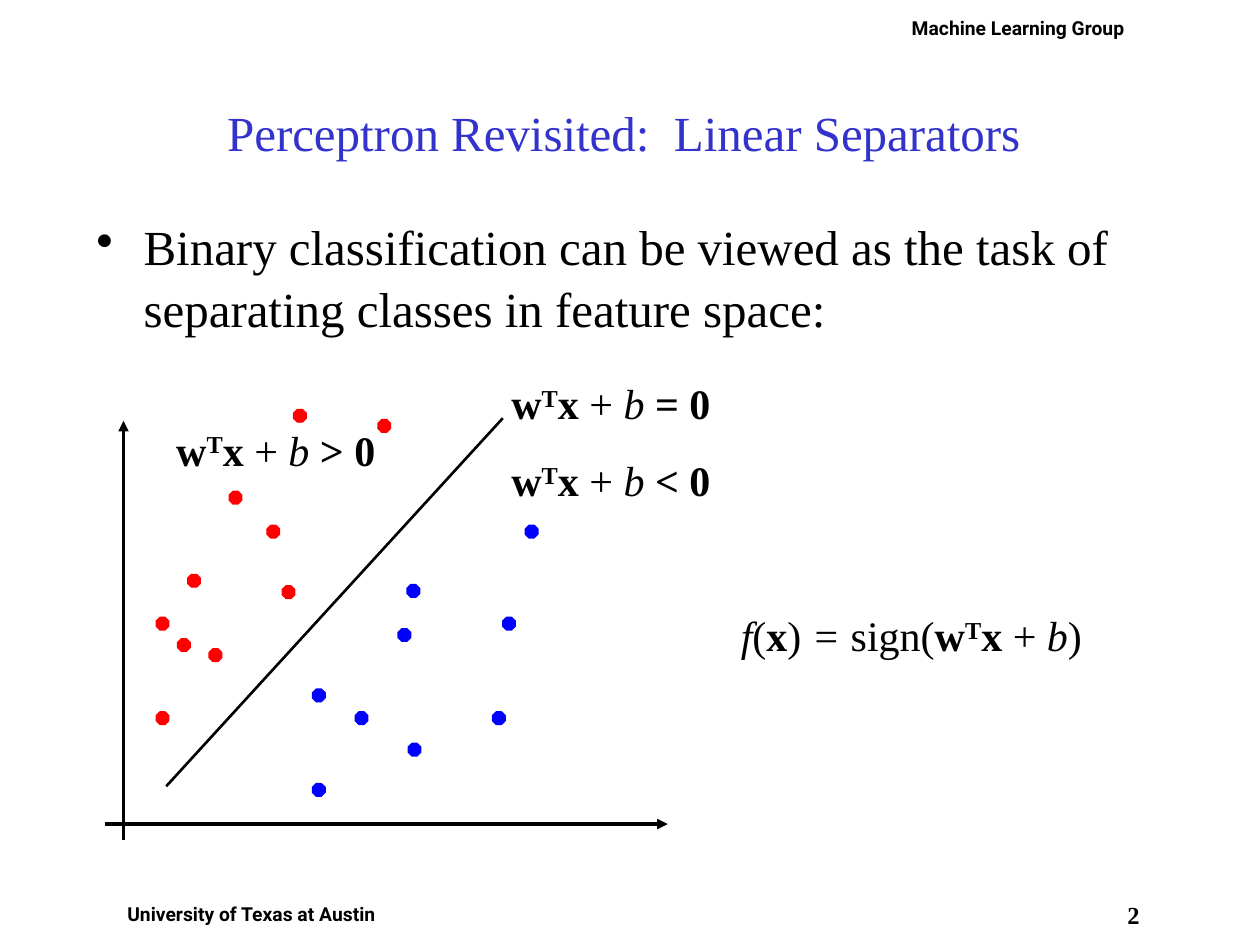
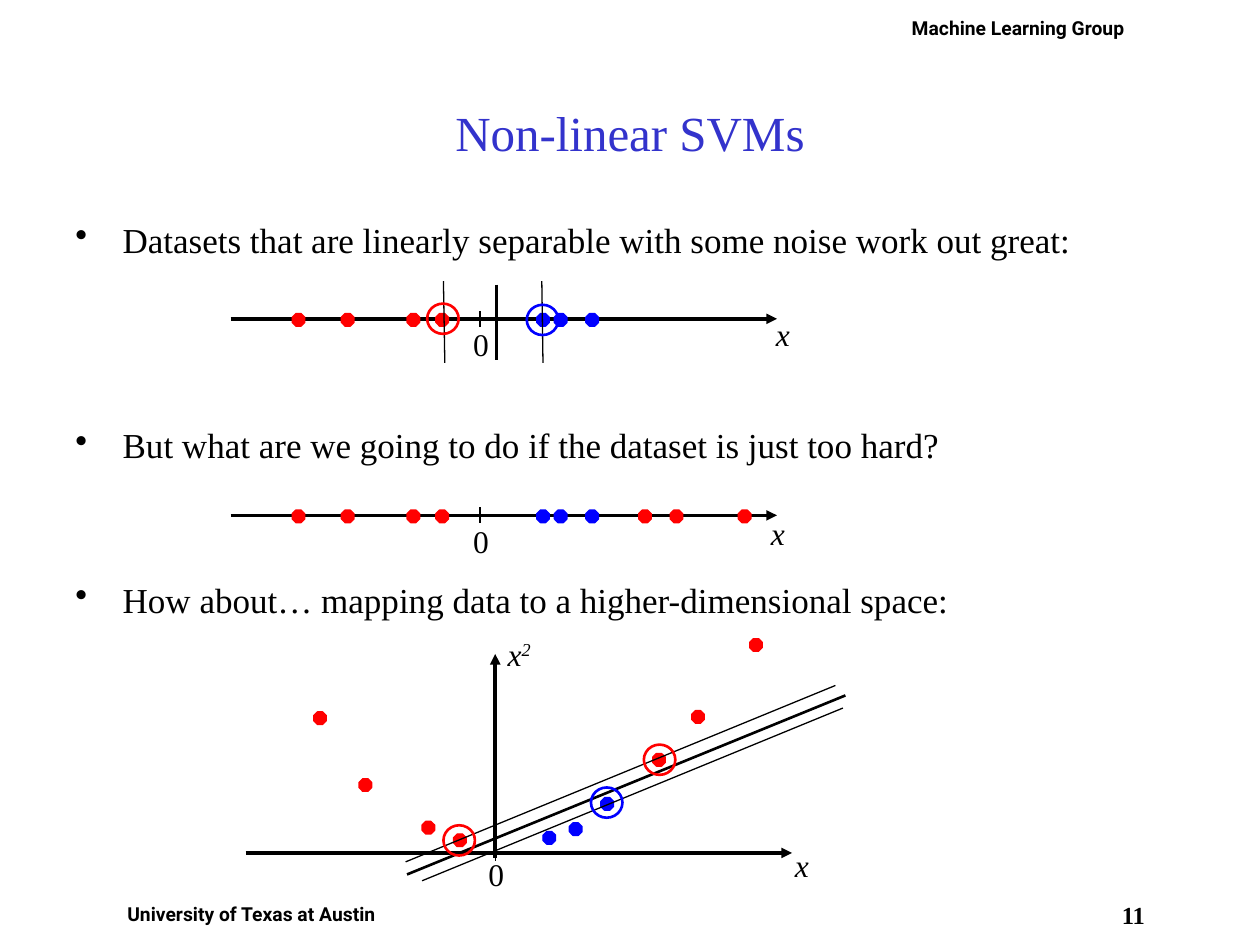
from dataclasses import dataclass
from typing import Any, NamedTuple

from lxml import etree
from pptx import Presentation
from pptx.dml.color import RGBColor
from pptx.enum import shapes, text
from pptx.oxml import ns
from pptx.util import Pt


@dataclass(frozen=True)
class Theme:
    black: RGBColor = RGBColor(0x00, 0x00, 0x00)
    white: RGBColor = RGBColor(0xFF, 0xFF, 0xFF)
    title: RGBColor = RGBColor(0x33, 0x33, 0xCC)
    red: RGBColor = RGBColor(0xFF, 0x00, 0x00)
    blue: RGBColor = RGBColor(0x00, 0x00, 0xFF)
    serif: str = "Times New Roman"
    sans: str = "Roboto"
    title_size: float = 28
    formula_size: float = 24
    axis_size: float = 18
    number_size: float = 14
    band_size: float = 11
    thin: float = 0.75
    medium: float = 1.5
    thick: float = 2


THEME = Theme()
DOT_SIZE = 7.2
PADDING = (7.2, 3.6)


class Box(NamedTuple):
    left: float
    top: float
    width: float
    height: float


class Run(NamedTuple):
    text: str
    bold: bool = False
    italic: bool = False
    superscript: bool = False


class Line(NamedTuple):
    start: tuple[float, float]
    end: tuple[float, float]
    width: float = THEME.thin
    arrow: bool = False


class Mark(NamedTuple):
    """A dot or ring, placed by its top left corner."""
    left: float
    top: float
    color: RGBColor


class Label(NamedTuple):
    box: Box
    runs: list[Run]
    size: float


class Bullet(NamedTuple):
    text: str
    space_before: float


def apply_format(target: Any, values: dict[str, Any]) -> None:
    for name, value in values.items():
        setattr(target, name, value)


def add_runs(paragraph: Any, runs: list[Run], size: float,
             color: RGBColor = THEME.black, font: str = THEME.serif) -> None:
    for item in runs:
        run = paragraph.add_run()
        run.text = item.text
        apply_format(run.font, {"name": font, "size": Pt(size),
                                "bold": item.bold, "italic": item.italic})
        run.font.color.rgb = color
        if item.superscript:
            run.font._element.set("baseline", "30000")


def add_frame(slide: Any, box: Box, padding: tuple[float, float] = PADDING,
              anchor: Any = text.MSO_ANCHOR.TOP, fill: RGBColor | None = None) -> Any:
    """Add a text box and return its text frame."""
    shape = slide.shapes.add_textbox(*map(Pt, box))
    if fill is not None:
        shape.fill.solid()
        shape.fill.fore_color.rgb = fill
    across, down = map(Pt, padding)
    apply_format(shape.text_frame, {
        "word_wrap": True, "vertical_anchor": anchor,
        "margin_left": across, "margin_right": across,
        "margin_top": down, "margin_bottom": down,
    })
    return shape.text_frame


def add_label(slide: Any, label: Label) -> None:
    frame = add_frame(slide, label.box)
    add_runs(frame.paragraphs[0], label.runs, label.size)


def add_band(slide: Any, box: Box, caption: str, size: float, font: str,
             padding: float) -> None:
    frame = add_frame(slide, box, (padding, padding), fill=THEME.white)
    paragraph = frame.paragraphs[0]
    paragraph.alignment = text.PP_ALIGN.CENTER
    add_runs(paragraph, [Run(caption, bold=True)], size, font=font)


def add_page(presentation: Any, title: str, number: int) -> Any:
    """Add a slide with the shared number, footer, header and title."""
    slide = presentation.slides.add_slide(presentation.slide_layouts[6])
    add_band(slide, Box(635.8, 514.1, 23.8, 25.9), str(number),
             THEME.number_size, THEME.serif, 0)
    for box, caption in (
        (Box(59.8, 511.9, 167.8, 20.9), "University of Texas at Austin"),
        (Box(509.8, 5.8, 144, 20.9), "Machine Learning Group"),
    ):
        add_band(slide, box, caption, THEME.band_size, THEME.sans, 3.6)
    frame = add_frame(slide, Box(54, 30.2, 612, 90), anchor=text.MSO_ANCHOR.MIDDLE)
    paragraph = frame.paragraphs[0]
    paragraph.alignment = text.PP_ALIGN.CENTER
    add_runs(paragraph, [Run(title)], THEME.title_size, THEME.title)
    return slide


def add_bullets(slide: Any, box: Box, bullets: list[Bullet], size: float) -> None:
    frame = add_frame(slide, box)
    for index, bullet in enumerate(bullets):
        paragraph = frame.add_paragraph() if index else frame.paragraphs[0]
        apply_format(paragraph, {"line_spacing": 1.05,
                                 "space_before": Pt(bullet.space_before)})
        properties = paragraph._p.get_or_add_pPr()
        properties.set("marL", str(Pt(27)))
        properties.set("indent", str(-Pt(27)))
        etree.SubElement(properties, ns.qn("a:buChar")).set("char", "•")
        add_runs(paragraph, [Run(bullet.text)], size)


def add_line(slide: Any, line: Line) -> None:
    connector = slide.shapes.add_connector(
        shapes.MSO_CONNECTOR.STRAIGHT, *map(Pt, line.start + line.end))
    connector.line.color.rgb = THEME.black
    connector.line.width = Pt(line.width)
    if line.arrow:
        outline = connector.line._get_or_add_ln()
        etree.SubElement(outline, ns.qn("a:tailEnd")).set("type", "triangle")
    etree.SubElement(connector._element.spPr, ns.qn("a:effectLst"))


def add_mark(slide: Any, kind: Any, mark: Mark, size: tuple[float, float],
             line_width: float) -> Any:
    shape = slide.shapes.add_shape(kind, *map(Pt, (mark.left, mark.top, *size)))
    shape.shadow.inherit = False
    shape.line.color.rgb = mark.color
    shape.line.width = Pt(line_width)
    return shape


def add_dot(slide: Any, mark: Mark) -> None:
    shape = add_mark(slide, shapes.MSO_SHAPE.OCTAGON, mark,
                     (DOT_SIZE, DOT_SIZE), THEME.thin)
    shape.fill.solid()
    shape.fill.fore_color.rgb = mark.color


def add_ring(slide: Any, mark: Mark) -> None:
    shape = add_mark(slide, shapes.MSO_SHAPE.OVAL, mark, (18, 17.3), THEME.medium)
    shape.fill.background()


def add_dots(slide: Any, red: list[tuple[float, float]],
             blue: list[tuple[float, float]]) -> None:
    for color, corners in ((THEME.red, red), (THEME.blue, blue)):
        for left, top in corners:
            add_dot(slide, Mark(left, top, color))


def add_axis_label(slide: Any, left: float, top: float, runs: list[Run]) -> None:
    add_label(slide, Label(Box(left, top, 36, 28.8), runs, THEME.axis_size))


def add_number_axis(slide: Any, left: float, top: float, zero: float,
                    zero_top: float) -> None:
    """Add a horizontal arrow with a tick and a 0 below it."""
    add_line(slide, Line((left, top), (left + 312.2, top), THEME.thick, True))
    add_line(slide, Line((zero, top - 4.5), (zero, top + 4.5)))
    add_label(slide, Label(Box(zero - 11, zero_top, 26.6, 28.8), [Run("0")],
                           THEME.axis_size))


SCORE = [Run("w", bold=True), Run("T", bold=True, superscript=True),
         Run("x ", bold=True), Run("+ "), Run("b", italic=True)]
X = Run("x", italic=True)


def build_linear_separators(presentation: Any) -> None:
    slide = add_page(presentation, "Perceptron Revisited:  Linear Separators ", 2)
    add_bullets(slide, Box(48, 118.8, 648, 396), [
        Bullet("Binary classification can be viewed as the task of separating "
               "classes in feature space:", 7)], 28)
    add_line(slide, Line((70.6, 480.2), (70.6, 240.5), THEME.thick, True))
    add_line(slide, Line((59.8, 470.9), (381.6, 470.9), THEME.thick, True))
    add_line(slide, Line((95, 449.3), (287.3, 239), THEME.medium))
    add_dots(
        slide,
        red=[(152.6, 300.2), (107.3, 328.3), (119.5, 370.8), (89.3, 406.8),
             (131, 280.8), (89.3, 352.8), (101.5, 365), (161.3, 334.8),
             (167.8, 234), (216, 239.8)],
        blue=[(232.6, 334.1), (203, 406.8), (281.5, 406.8), (178.6, 447.8),
              (227.5, 359.3), (178.6, 393.8), (233.3, 424.8), (287.3, 352.8),
              (300.2, 300.2)])
    for left, top, relation in ((285.1, 212.4, "="), (285.1, 256.3, "<"),
                                (93.6, 239, ">")):
        add_label(slide, Label(Box(left, top, 210.2, 36),
                               SCORE + [Run(f" {relation} 0", bold=True)],
                               THEME.formula_size))
    decision = [Run("f", italic=True), Run("("), Run("x", bold=True), Run(")"),
                Run(" = ", italic=True), Run("sign("), *SCORE, Run(")")]
    add_label(slide, Label(Box(416.2, 344.9, 231.1, 36), decision,
                           THEME.formula_size))


def build_nonlinear_svms(presentation: Any) -> None:
    slide = add_page(presentation, "Non-linear SVMs", 11)
    add_bullets(slide, Box(36, 120.2, 648, 396), [
        Bullet("Datasets that are linearly separable with some noise work out great:", 5),
        Bullet("But what are we going to do if the dataset is just too hard?", 92),
        Bullet("How about… mapping data to a higher-dimensional space:", 63),
    ], 20)

    easy_red = [167, 195.1, 232.6, 249.1]
    blue = [316.8, 334.8, 306.7]
    for axis_top, red in ((182.2, easy_red),
                          (294.5, easy_red + [365, 383, 421.9])):
        add_number_axis(slide, 131.8, axis_top, 274.3, axis_top)
        dot_top = axis_top - 3
        add_dots(slide, [(left, dot_top) for left in red],
                 [(left, dot_top) for left in blue])

    add_number_axis(slide, 140.4, 487.4, 283, 485.3)
    add_line(slide, Line((283, 490.3), (283, 373.7), THEME.thick, True))
    add_dots(
        slide,
        red=[(179.3, 406.8), (205.2, 445), (241.2, 469.4), (259.2, 476.6),
             (373, 430.6), (395.3, 406.1), (428.4, 365)],
        blue=[(325.4, 470.2), (343.4, 455.8), (310.3, 475.2)])

    add_axis_label(slide, 283, 359.3, [X, Run("2", italic=True, superscript=True)])
    for left, top in ((447.1, 480.2), (433.4, 290.2), (436.3, 176.4)):
        add_axis_label(slide, left, top, [X])

    for line in (
        Line((283.7, 162.7), (283.7, 205.9), THEME.medium),
        Line((310.3, 207.4), (309.6, 160.6)),
        Line((254.2, 207.4), (253.4, 160.6)),
        Line((232.6, 499.7), (483.1, 397.4), THEME.medium),
        Line((231.8, 492.5), (477.4, 391.7)),
        Line((241.2, 503.3), (481.7, 404.6)),
    ):
        add_line(slide, line)
    for support_vector in (
        Mark(301, 174.2, THEME.blue), Mark(244.1, 173.5, THEME.red),
        Mark(367.9, 425.5, THEME.red), Mark(337.7, 450, THEME.blue),
        Mark(253.4, 471.6, THEME.red),
    ):
        add_ring(slide, support_vector)


def main() -> None:
    presentation = Presentation()
    apply_format(presentation, {"slide_width": Pt(720), "slide_height": Pt(540)})
    build_linear_separators(presentation)
    build_nonlinear_svms(presentation)
    presentation.save("out.pptx")


if __name__ == "__main__":
    main()
